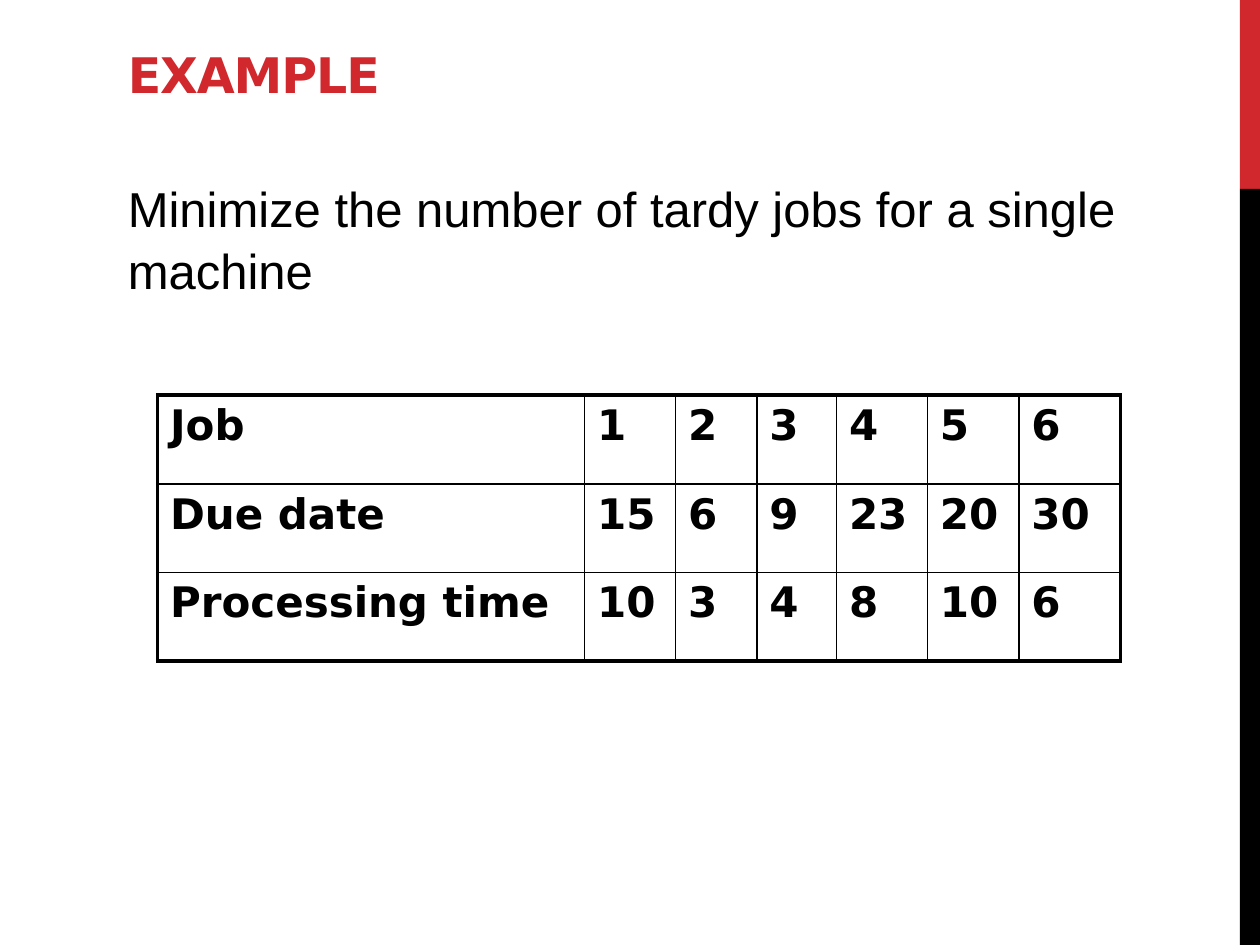
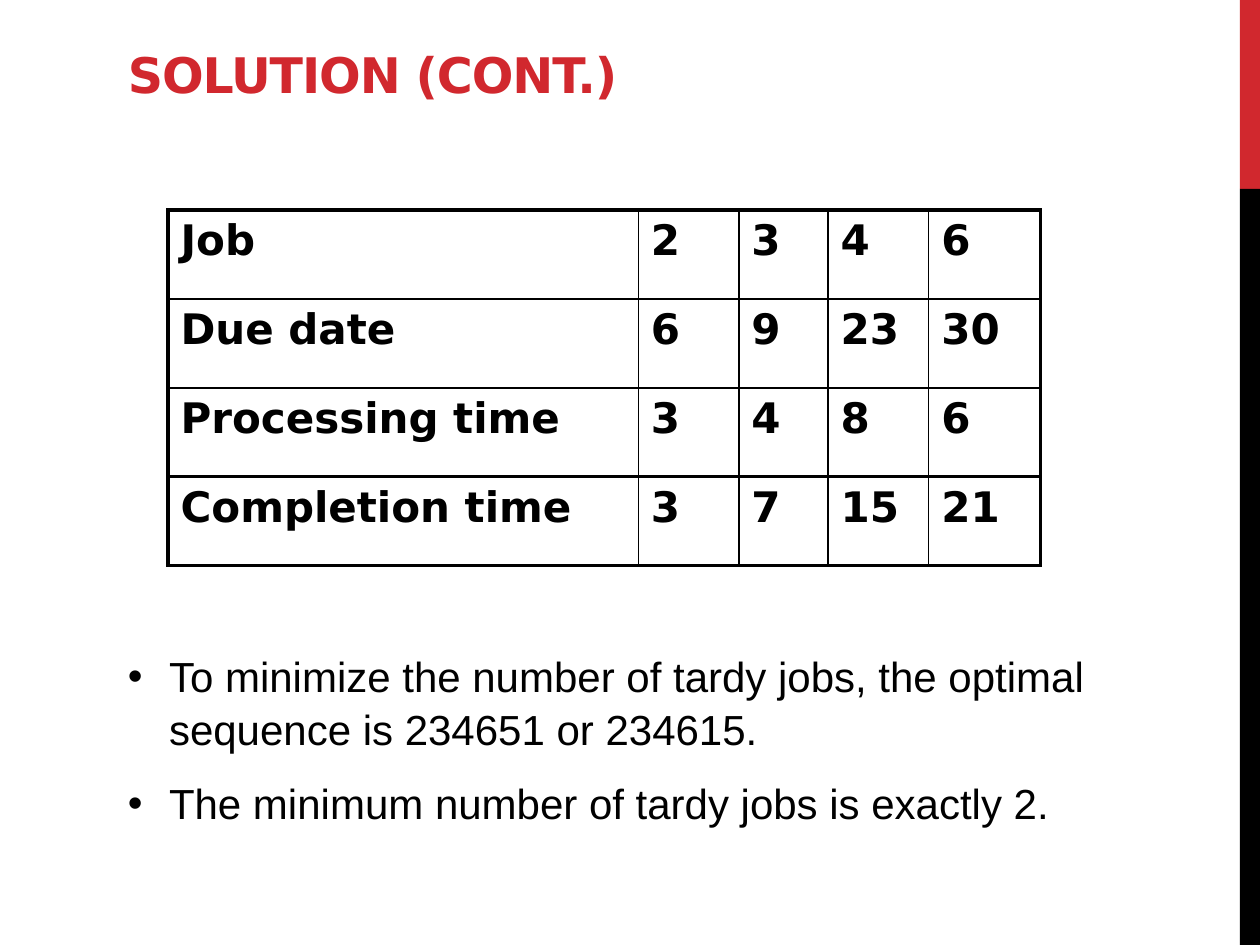
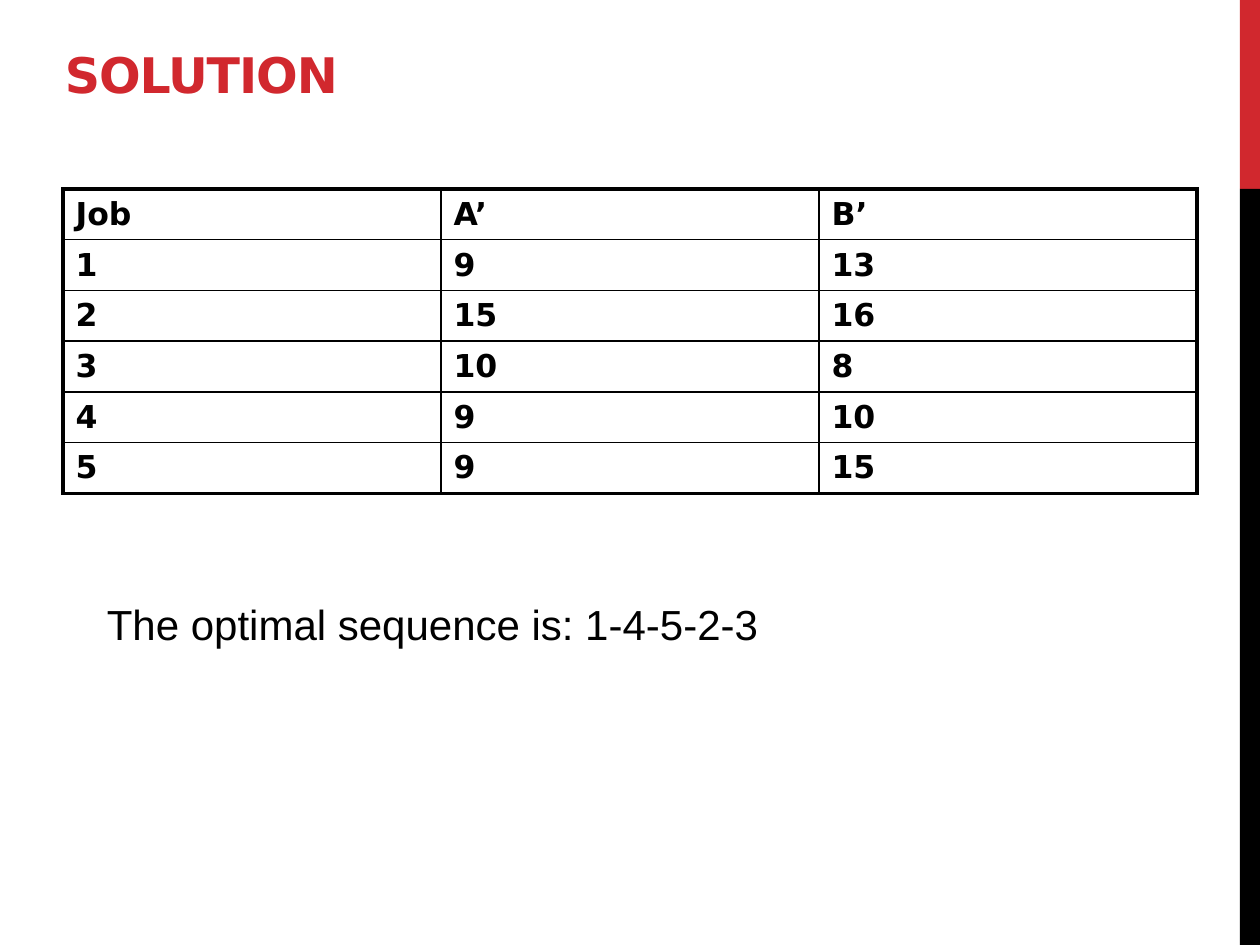
from pptx import Presentation
from pptx.dml.color import RGBColor
from pptx.enum.shapes import MSO_SHAPE
from pptx.enum.text import MSO_ANCHOR
from pptx.oxml.ns import qn
from pptx.util import Pt
from lxml.etree import SubElement

# Shared colours, fonts and sizes
RED, BLACK = "D1282E", "000000"
HEAD, BODY = "DejaVu Sans", "Arial"
WIDE, HIGH = 720, 540
BAND = 11.5
THICK, THIN = 2.25, 1


def color(code):
    return RGBColor.from_string(code)


def apply(item, vals):
    for name, val in vals.items():
        setattr(item, name, val)


def style(font, face, size, code=BLACK, bold=False):
    apply(font, {"name": face, "size": Pt(size), "bold": bold})
    font.color.rgb = color(code)


# Side bands
def add_band(slide, top, tall, code):
    band = slide.shapes.add_shape(MSO_SHAPE.RECTANGLE, Pt(WIDE - BAND),
                                  Pt(top), Pt(BAND), Pt(tall))
    band.shadow.inherit = False
    band.fill.solid()
    band.fill.fore_color.rgb = color(code)
    band.line.fill.background()


# Text boxes
def add_box(slide, left, top, width, tall):
    box = slide.shapes.add_textbox(Pt(left), Pt(top), Pt(width), Pt(tall))
    box.text_frame.word_wrap = True
    return box.text_frame


def add_title(slide, text, left):
    frame = add_box(slide, left, 18, 582, 44.6)
    frame.vertical_anchor = MSO_ANCHOR.BOTTOM
    run = frame.paragraphs[0].add_run()
    run.text = text
    style(run.font, HEAD, 28, RED, True)
    run.font._element.set("spc", "-60")


def add_bullet(para, indent):
    props = para._p.get_or_add_pPr()
    props.set("marL", str(Pt(indent)))
    props.set("indent", str(-Pt(indent)))
    SubElement(props, qn("a:buFont")).set("typeface", BODY)
    SubElement(props, qn("a:buChar")).set("char", "•")


def add_body(slide, lines, left, top, width, tall, size, bullet=False):
    frame = add_box(slide, left, top, width, tall)
    for i, line in enumerate(lines):
        para = frame.add_paragraph() if i else frame.paragraphs[0]
        if bullet:
            add_bullet(para, 23.5)
        apply(para, {"line_spacing": 1.05,
                     "space_before": Pt(size / 2 if i else 0)})
        run = para.add_run()
        run.text = line
        style(run.font, BODY, size)


# Tables
def add_edge(cell, side, width):
    edge = SubElement(cell._tc.get_or_add_tcPr(), qn("a:ln" + side))
    edge.set("w", str(Pt(width)))
    fill = SubElement(edge, qn("a:solidFill"))
    SubElement(fill, qn("a:srgbClr")).set("val", BLACK)


def add_grid(slide, rows, left, top, cols, tall, size,
             anchor=MSO_ANCHOR.TOP, heavy=()):
    """Draw a ruled table; heavy lists inner row lines drawn thick."""
    last, end = len(rows), len(cols)
    grid = slide.shapes.add_table(last, end, Pt(left), Pt(top),
                                  Pt(sum(cols)), Pt(tall * last)).table
    apply(grid, {"first_row": False, "horz_banding": False})
    for col, width in zip(grid.columns, cols):
        col.width = Pt(width)
    thick = {0, last, *heavy}
    for r, row in enumerate(rows):
        grid.rows[r].height = Pt(tall)
        for c, text in enumerate(row):
            cell = grid.cell(r, c)
            cell.text = text
            cell.vertical_anchor = anchor
            style(cell.text_frame.paragraphs[0].runs[0].font,
                  HEAD, size, bold=True)
            for side, bold in (("L", c == 0), ("R", c + 1 == end),
                               ("T", r in thick), ("B", r + 1 in thick)):
                add_edge(cell, side, THICK if bold else THIN)
            cell.fill.background()


def add_page(deck, title, left=66):
    slide = deck.slides.add_slide(deck.slide_layouts[6])
    add_band(slide, 0, 108, RED)
    add_band(slide, 108, HIGH - 108, BLACK)
    add_title(slide, title, left)
    return slide


def main():
    deck = Presentation()
    apply(deck, {"slide_width": Pt(WIDE), "slide_height": Pt(HIGH)})

    # Job data
    slide = add_page(deck, "EXAMPLE")
    add_grid(slide, [["Job", "1", "2", "3", "4", "5", "6"],
                     ["Due date", "15", "6", "9", "23", "20", "30"],
                     ["Processing time", "10", "3", "4", "8", "10", "6"]],
             90, 225.75, [244, 52, 46.5, 45.5, 52, 52.25, 58], 50.7, 24)
    add_body(slide, ["Minimize the number of tardy jobs for a single machine"],
             66, 97, 624, 74, 28)

    # Jobs on time
    slide = add_page(deck, "SOLUTION (CONT.)")
    add_grid(slide, [["Job", "2", "3", "4", "6"],
                     ["Due date", "6", "9", "23", "30"],
                     ["Processing time", "3", "4", "8", "6"],
                     ["Completion time", "3", "7", "15", "21"]],
             96, 120, [268.75, 57.5, 51, 57.5, 64], 50.8, 24, heavy=[3])
    add_body(slide, ["To minimize the number of tardy jobs, the optimal "
                     "sequence is 234651 or 234615.",
                     "The minimum number of tardy jobs is exactly 2."],
             66, 367, 588, 108, 24, bullet=True)

    # Two-machine sequence
    slide = add_page(deck, "SOLUTION", 30)
    add_grid(slide, [["Job", "A’", "B’"], ["1", "9", "13"],
                     ["2", "15", "16"], ["3", "10", "8"],
                     ["4", "9", "10"], ["5", "9", "15"]],
             36, 108, [216] * 3, 29, 18, MSO_ANCHOR.MIDDLE)
    add_body(slide, ["The optimal sequence is: 1-4-5-2-3"],
             54, 337, 582, 36, 24)

    deck.save("out.pptx")


if __name__ == "__main__":
    main()
